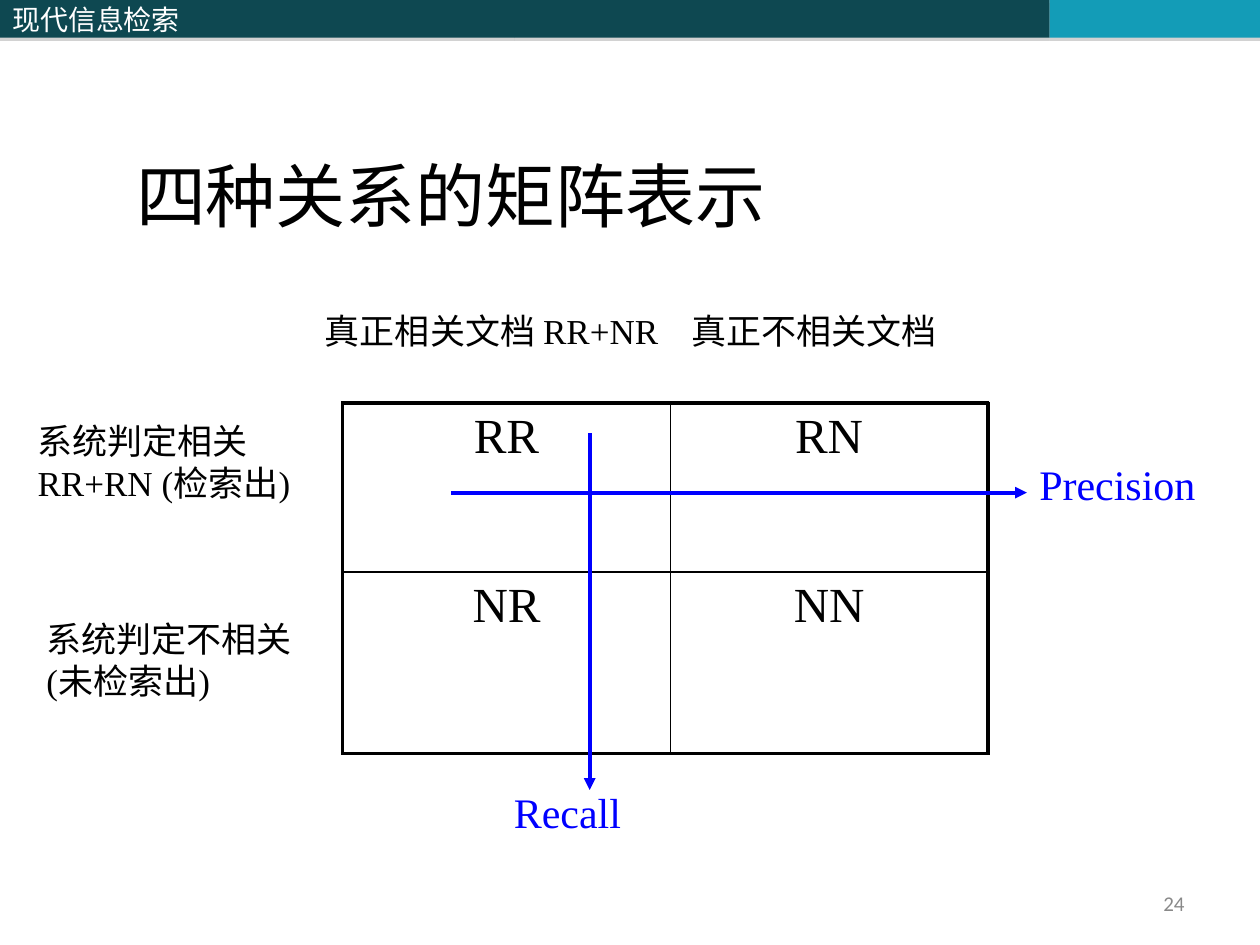
from lxml import etree
from pptx import Presentation
from pptx.dml.color import RGBColor
from pptx.enum import lang, shapes, text
from pptx.oxml import parse_xml
from pptx.oxml.ns import qn
from pptx.util import Inches, Pt

SERIF = "Times New Roman"
BLACK, BLUE = "000000", "0000FF"
A = 'xmlns:a="http://schemas.openxmlformats.org/drawingml/2006/main"'

TITLE = "四种关系的矩阵表示"
# left, width, fill, text
BANDS = [
    (0, 4.08, "0E4851", "现代信息检索"),
    (4.08, 4.25, "0E4851", ""),
    (8.33, 1.67, "139CB7", ""),
]
CELLS = [["RR", "RN"], ["NR", "NN"]]
COLS, ROWS = [2.6, 2.52], [1.34, 1.44]
# text, box, size, colour
LABELS = [
    ("真正相关文档 RR+NR", (2.48, 2.41, 3.15, 0.43), 20, BLACK),
    ("真正不相关文档", (5.39, 2.41, 3.31, 0.43), 20, BLACK),
    ("系统判定相关 RR+RN (检索出)", (0.2, 3.28, 2.28, 0.77), 20, BLACK),
    ("系统判定不相关\n(未检索出)", (0.27, 4.85, 2.2, 0.77), 20, BLACK),
    ("Recall", (3.98, 6.19, 1.65, 0.5), 24, BLUE),
    ("Precision", (8.15, 3.59, 1.69, 0.5), 24, BLUE),
]
ARROWS = [(4.68, 3.44, 4.68, 6.27), (3.58, 3.91, 8.15, 3.91)]


def color(code):
    return RGBColor.from_string(code)


def place(vals):
    return [Inches(v) for v in vals]


def write(frame, words, size, code, font=SERIF, align=text.PP_ALIGN.LEFT):
    frame.text = words
    frame.word_wrap = True
    for para in frame.paragraphs:
        para.alignment = align
        for run in para.runs:
            run.font.size = Pt(size)
            run.font.name = font
            run.font.color.rgb = color(code)
            run.font.language_id = lang.MSO_LANGUAGE_ID.SIMPLIFIED_CHINESE


def add_band(slide, left, width, fill, words):
    band = slide.shapes.add_shape(shapes.MSO_SHAPE.RECTANGLE,
                                  *place((left, 0, width, 0.3)))
    band.fill.solid()
    band.fill.fore_color.rgb = color(fill)
    band.line.fill.background()
    band._element.spPr.append(parse_xml(
        f'<a:effectLst {A}><a:outerShdw dist="{Pt(1.8)}" dir="5400000">'
        '<a:srgbClr val="808080"><a:alpha val="35000"/></a:srgbClr>'
        '</a:outerShdw></a:effectLst>'))
    if words:
        write(band.text_frame, words, 16, "FFFFFF", "Noto Sans CJK SC")
        band.text_frame.vertical_anchor = text.MSO_ANCHOR.MIDDLE


def add_borders(cell, row, col):
    """Draw thick lines on the outside of the grid and thin ones inside."""
    outer = [("L", col == 0), ("R", col == len(COLS) - 1),
             ("T", row == 0), ("B", row == len(ROWS) - 1)]
    props = cell._tc.get_or_add_tcPr()
    for pos, (side, thick) in enumerate(outer):
        props.insert(pos, parse_xml(
            f'<a:ln{side} {A} w="{Pt(2.25 if thick else 1)}"><a:solidFill>'
            f'<a:srgbClr val="{BLACK}"/></a:solidFill></a:ln{side}>'))


def add_matrix(slide):
    box = place((2.72, 3.2, sum(COLS), sum(ROWS)))
    table = slide.shapes.add_table(len(ROWS), len(COLS), *box).table
    table.first_row = table.horz_banding = False
    for col, width in zip(table.columns, COLS):
        col.width = Inches(width)
    for r, height in enumerate(ROWS):
        table.rows[r].height = Inches(height)
        for c, words in enumerate(CELLS[r]):
            cell = table.cell(r, c)
            write(cell.text_frame, words, 28, BLACK,
                  align=text.PP_ALIGN.CENTER)
            cell.fill.background()
            add_borders(cell, r, c)


def add_arrow(slide, ends):
    arrow = slide.shapes.add_connector(shapes.MSO_CONNECTOR.STRAIGHT,
                                       *place(ends))
    arrow.line.color.rgb = color(BLUE)
    arrow.line.width = Pt(2.25)
    etree.SubElement(arrow.line._get_or_add_ln(), qn("a:tailEnd"),
                     type="triangle")
    etree.SubElement(arrow._element.spPr, qn("a:effectLst"))


def main():
    prs = Presentation()
    prs.slide_width, prs.slide_height = Inches(10), Inches(7.5)
    slide = prs.slides.add_slide(prs.slide_layouts[5])

    for band in BANDS:
        add_band(slide, *band)

    title = slide.shapes.title
    title.left, title.top, title.width, title.height = place(
        (0.98, 0.68, 7.53, 1.25))
    write(title.text_frame, TITLE, 40, BLACK)
    title.text_frame.vertical_anchor = text.MSO_ANCHOR.BOTTOM

    add_matrix(slide)
    for words, box, size, code in LABELS:
        label = slide.shapes.add_textbox(*place(box))
        write(label.text_frame, words, size, code)
    for ends in ARROWS:
        add_arrow(slide, ends)

    number = slide.shapes.add_textbox(*place((7.42, 6.92, 2.08, 0.5)))
    write(number.text_frame, "24", 12, "898989", "Calibri",
          text.PP_ALIGN.RIGHT)
    number.text_frame.vertical_anchor = text.MSO_ANCHOR.MIDDLE

    prs.save("out.pptx")


if __name__ == "__main__":
    main()
